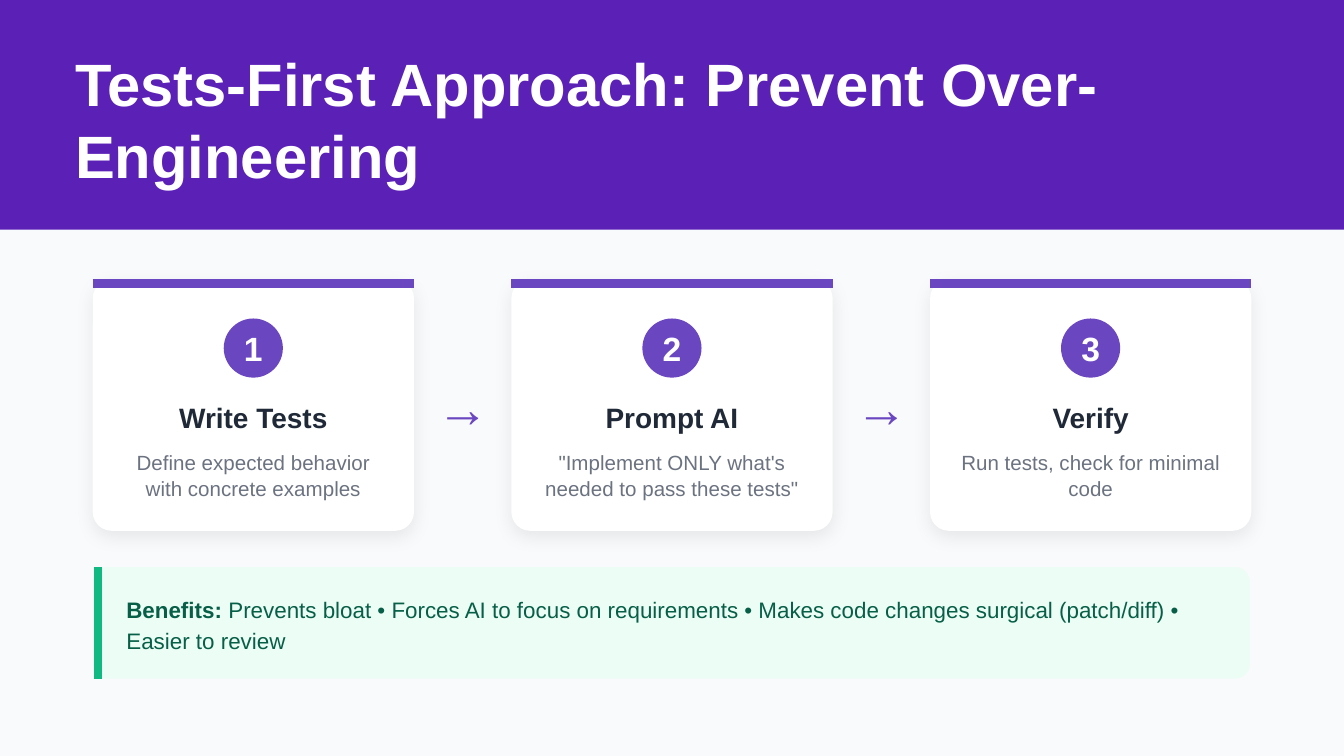
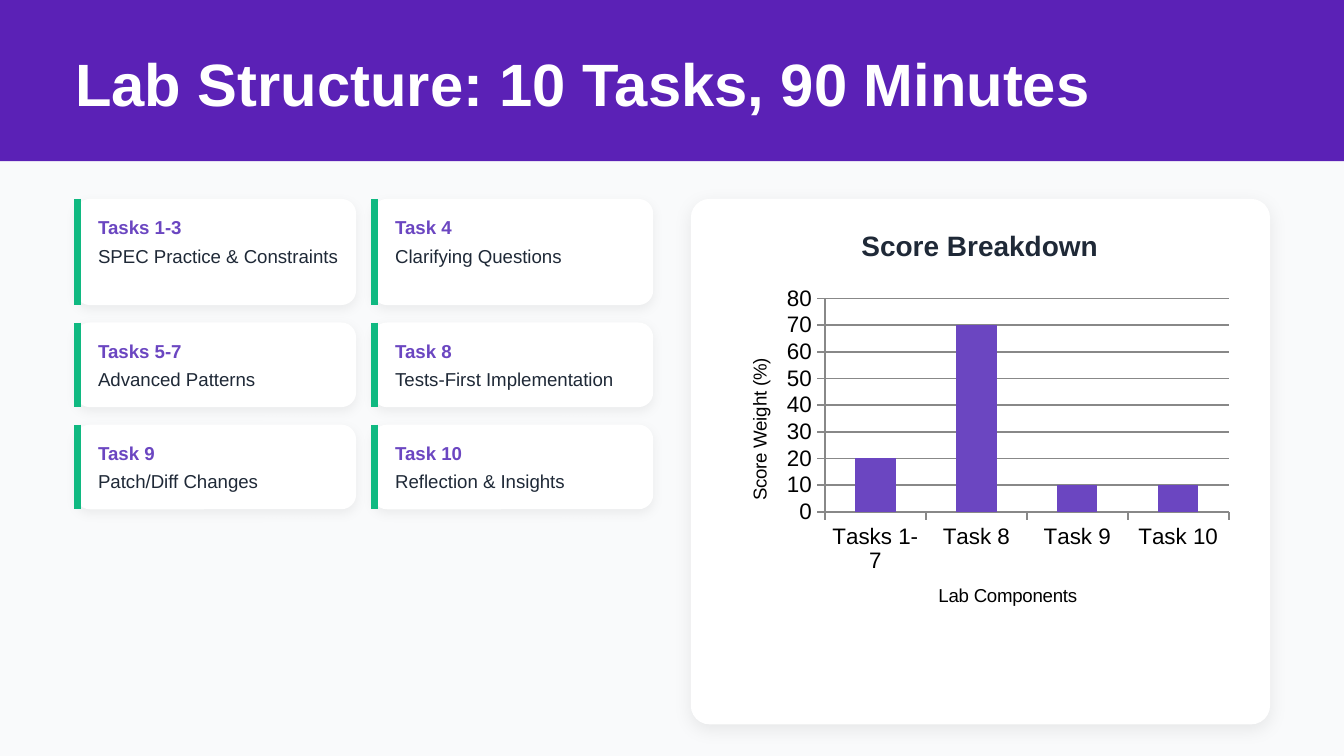
import pptx
import pptx.chart.data
import pptx.dml.color
import pptx.enum.chart
import pptx.enum.shapes
import pptx.enum.text
import pptx.oxml
import pptx.oxml.ns
import pptx.util

RGBColor = pptx.dml.color.RGBColor
Inches = pptx.util.Inches
Pt = pptx.util.Pt
Shape = pptx.enum.shapes.MSO_SHAPE
CENTER = pptx.enum.text.PP_ALIGN.CENTER

# Content
FLOW_TITLE = "Tests-First Approach: Prevent Over-Engineering"
STEPS = [
    ("Write Tests", "Define expected behavior with concrete examples"),
    ("Prompt AI", '"Implement ONLY what\'s needed to pass these tests"'),
    ("Verify", "Run tests, check for minimal code"),
]
BENEFITS_LABEL = "Benefits:"
BENEFITS = ["Prevents bloat", "Forces AI to focus on requirements",
            "Makes code changes surgical (patch/diff)", "Easier to review"]
LAB_TITLE = "Lab Structure: 10 Tasks, 90 Minutes"
TASK_ROWS = [
    (0.79, [("Tasks 1-3", "SPEC Practice & Constraints"),
            ("Task 4", "Clarifying Questions")]),
    (0.63, [("Tasks 5-7", "Advanced Patterns"),
            ("Task 8", "Tests-First Implementation")]),
    (0.63, [("Task 9", "Patch/Diff Changes"),
            ("Task 10", "Reflection & Insights")]),
]
CHART_TITLE = "Score Breakdown"
SCORES = {"Tasks 1-7": 20, "Task 8": 70, "Task 9": 10, "Task 10": 10}
CATEGORY_TITLE, VALUE_TITLE = "Lab Components", "Score Weight (%)"

# Shared style
FONT = "Arial"
WIDTH = 10
HEIGHT = WIDTH * 9 / 16
PAPER = RGBColor(0xF9, 0xFA, 0xFB)
BAND = RGBColor(0x5B, 0x21, 0xB6)
VIOLET = RGBColor(0x6B, 0x46, 0xC1)
GREEN = RGBColor(0x10, 0xB9, 0x81)
MINT = RGBColor(0xEC, 0xFD, 0xF5)
FOREST = RGBColor(0x06, 0x5F, 0x46)
INK = RGBColor(0x1F, 0x29, 0x37)
GRAY = RGBColor(0x6B, 0x72, 0x80)
AXIS = RGBColor(0x88, 0x88, 0x88)
WHITE = RGBColor(0xFF, 0xFF, 0xFF)
BLACK = RGBColor(0, 0, 0)
BIG_SHADOW = (8, 10, 3)  # opacity %, blur pt, distance pt
SMALL_SHADOW = (6, 6, 2)


def style_font(font, size, color, bold=False):
    font.name = FONT
    font.size = Pt(size)
    font.bold = bold
    font.color.rgb = color


def add_block(page, kind, left, top, width, height, color, radius=0, shadow=None):
    block = page.shapes.add_shape(kind, Inches(left), Inches(top),
                                  Inches(width), Inches(height))
    block.shadow.inherit = False
    block.fill.solid()
    block.fill.fore_color.rgb = color
    block.line.fill.background()
    if radius:
        block.adjustments[0] = radius / min(width, height)
    if shadow:
        opacity, blur, distance = shadow
        effects = block._element.spPr.find(pptx.oxml.ns.qn("a:effectLst"))
        effects.append(pptx.oxml.parse_xml(
            f'<a:outerShdw {pptx.oxml.ns.nsdecls("a")} blurRad="{Pt(blur)}" '
            f'dist="{Pt(distance)}" dir="5400000" algn="bl" rotWithShape="0">'
            f'<a:srgbClr val="000000"><a:alpha val="{opacity * 1000}"/>'
            '</a:srgbClr></a:outerShdw>'))


def add_rule(page, start, end, color, weight):
    rule = page.shapes.add_connector(
        pptx.enum.shapes.MSO_CONNECTOR.STRAIGHT,
        *(Inches(value) for value in start + end))
    rule.line.color.rgb = color
    rule.line.width = Pt(weight)
    rule._element.spPr.append(pptx.oxml.parse_xml(
        f'<a:effectLst {pptx.oxml.ns.nsdecls("a")}/>'))


def add_text(page, left, top, width, height, spans, size, color,
             align=None, spacing=None, after=None, wrap=True):
    """Write one paragraph; spans is a list of (text, bold)."""
    box = page.shapes.add_textbox(Inches(left), Inches(top),
                                  Inches(width), Inches(height))
    frame = box.text_frame
    frame.word_wrap = wrap
    frame.margin_left = frame.margin_top = 0
    frame.margin_right = frame.margin_bottom = 0
    para = frame.paragraphs[0]
    para.alignment = align
    if spacing:
        para.line_spacing = Pt(spacing)
    if after:
        para.space_after = Pt(after)
    for text, bold in spans:
        span = para.add_run()
        span.text = text
        style_font(span.font, size, color, bold)


def add_page(deck, title, title_lines):
    page = deck.slides.add_slide(deck.slide_layouts[6])
    page.background.fill.solid()
    page.background.fill.fore_color.rgb = PAPER
    text_height = 0.51 * title_lines
    add_block(page, Shape.RECTANGLE, 0, 0, WIDTH, text_height + 0.69, BAND)
    add_text(page, 0.56, 0.35, 9.07, text_height, [(title, True)], 32, WHITE)
    return page


def add_step(page, left, width, number, heading, detail):
    top, height, badge = 2.08, 1.87, 0.44
    middle = left + width / 2
    add_block(page, Shape.ROUNDED_RECTANGLE, left, top, width, height,
              WHITE, 0.14, BIG_SHADOW)
    add_rule(page, (left, top + 0.03), (left + width, top + 0.03), VIOLET, 4.5)
    add_block(page, Shape.ROUNDED_RECTANGLE, middle - badge / 2, top + 0.29,
              badge, badge, VIOLET, badge / 2)
    add_text(page, middle - 0.07, top + 0.36, 0.14, 0.29,
             [(str(number), True)], 18, WHITE, CENTER, wrap=False)
    add_text(page, middle - 0.99, top + 0.9, 1.98, 0.24,
             [(heading, True)], 15, INK, CENTER, after=8)
    add_text(page, middle - 0.99, top + 1.25, 1.98, 0.4,
             [(detail, False)], 11, GRAY, CENTER, spacing=14.3)


def build_flow(deck):
    page = add_page(deck, FLOW_TITLE, 2)
    margin, width = 0.69, 2.39
    pitch = (WIDTH - 2 * margin - width) / (len(STEPS) - 1)
    for index, (heading, detail) in enumerate(STEPS):
        left = margin + index * pitch
        add_step(page, left, width, index + 1, heading, detail)
        if index < len(STEPS) - 1:
            add_text(page, left + 2.56, 2.79, 0.4, 0.45,
                     [("→", False)], 28, VIOLET, wrap=False)

    # Benefits strip
    top, height = 4.22, 0.83
    add_block(page, Shape.ROUNDED_RECTANGLE, margin, top, 8.61, height, MINT, 0.11)
    add_rule(page, (margin + 0.04, top), (margin + 0.04, top + height), GREEN, 4.5)
    add_text(page, margin + 0.25, top + 0.18, 8.35, 0.47,
             [(BENEFITS_LABEL, True), (" " + " • ".join(BENEFITS), False)],
             12, FOREST, spacing=16.8)


def add_task(page, left, top, height, name, topic):
    add_block(page, Shape.ROUNDED_RECTANGLE, left, top, 2.09, height,
              WHITE, 0.11, SMALL_SHADOW)
    add_rule(page, (left + 0.02, top), (left + 0.02, top + height), GREEN, 3.75)
    add_text(page, left + 0.17, top + 0.13, 1.82, 0.16,
             [(name, True)], 10, VIOLET, after=4)
    add_text(page, left + 0.17, top + 0.34, 1.82, height - 0.46,
             [(topic, False)], 10, INK, spacing=12)


def style_axis(axis, title):
    style_font(axis.tick_labels.font, 12, BLACK)
    axis.format.line.color.rgb = AXIS
    axis.format.line.width = Pt(1)
    axis.major_tick_mark = pptx.enum.chart.XL_TICK_MARK.OUTSIDE
    axis.minor_tick_mark = pptx.enum.chart.XL_TICK_MARK.NONE
    span = axis.axis_title.text_frame.paragraphs[0].add_run()
    span.text = title
    style_font(span.font, 10, BLACK)


def add_scores(page):
    data = pptx.chart.data.CategoryChartData()
    data.categories = list(SCORES)
    data.add_series("Series 1", list(SCORES.values()))
    chart = page.shapes.add_chart(
        pptx.enum.chart.XL_CHART_TYPE.COLUMN_CLUSTERED, Inches(5.36),
        Inches(2.08), Inches(3.86), Inches(2.64), data).chart
    style_font(chart.font, 10, BLACK)
    chart.has_legend = False
    chart.has_title = False

    plot = chart.plots[0]
    plot.gap_width = 150
    plot.vary_by_categories = False
    bars = plot.series[0].format.fill
    bars.solid()
    bars.fore_color.rgb = VIOLET

    style_axis(chart.category_axis, CATEGORY_TITLE)
    chart.category_axis.tick_label_position = pptx.enum.chart.XL_TICK_LABEL_POSITION.LOW
    values = chart.value_axis
    style_axis(values, VALUE_TITLE)
    values.minimum_scale, values.maximum_scale, values.major_unit = 0, 80, 10
    values.has_major_gridlines = True
    values.major_gridlines.format.line.color.rgb = AXIS
    values.major_gridlines.format.line.width = Pt(1)


def build_lab(deck):
    page = add_page(deck, LAB_TITLE, 1)
    top = row_top = 1.48

    # Task cards
    for height, tasks in TASK_ROWS:
        for column, (name, topic) in enumerate(tasks):
            add_task(page, 0.56 + column * 2.21, row_top, height, name, topic)
        row_top += height + 0.13

    # Score panel
    add_block(page, Shape.ROUNDED_RECTANGLE, 5.14, top, 4.31, 3.91,
              WHITE, 0.14, BIG_SHADOW)
    add_text(page, 5.32, top + 0.22, 3.94, 0.24,
             [(CHART_TITLE, True)], 15, INK, CENTER, after=10)
    add_scores(page)


def main():
    deck = pptx.Presentation()
    deck.slide_width, deck.slide_height = Inches(WIDTH), Inches(HEIGHT)
    build_flow(deck)
    build_lab(deck)
    deck.save("out.pptx")


if __name__ == "__main__":
    main()
